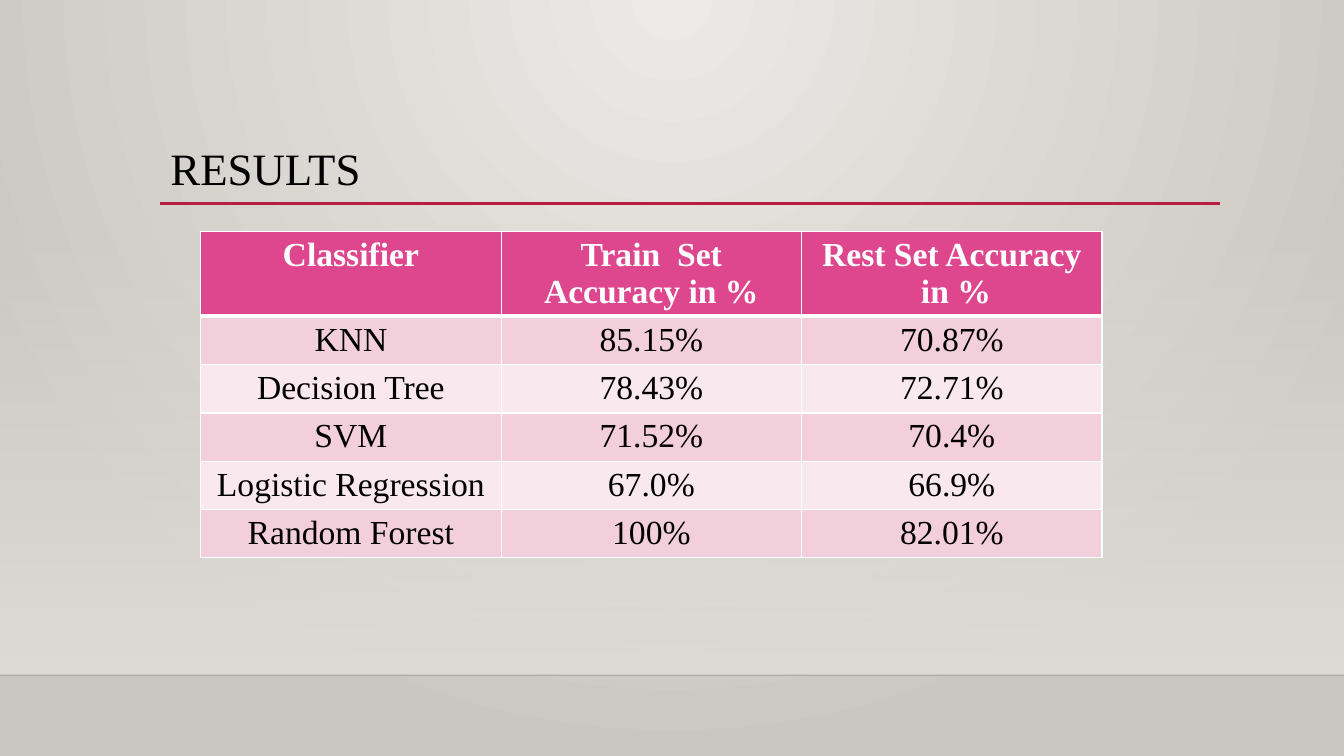
from pptx import Presentation, util as u
from pptx.dml.color import RGBColor
from pptx.enum import shapes, text
from pptx.oxml import parse_xml
from pptx.oxml.ns import nsdecls, qn

Inches = u.Inches
FONT = "Times New Roman"
BLACK = RGBColor(0x00, 0x00, 0x00)
WHITE = RGBColor(0xFF, 0xFF, 0xFF)
HORIZON = RGBColor(0x00, 0x00, 0x01)
RED = RGBColor(0xB7, 0x1E, 0x42)
PINK = RGBColor(0xDE, 0x47, 0x8E)
BANDS = (RGBColor(0xF2, 0xCF, 0xDB), RGBColor(0xF9, 0xE9, 0xEE))
CENTRE_LIGHT = RGBColor(0xEC, 0xEA, 0xE7)
EDGE_GREY = RGBColor(0xCA, 0xC7, 0xC1)
WALL = RGBColor(0xDF, 0xDB, 0xD5)

RADIAL = ('<a:path path="circle">'
          '<a:fillToRect l="43000" t="0" r="43000" b="100000"/></a:path>')
DOWNWARD = '<a:lin ang="5400000" scaled="0"/>'

RESULTS = [
    ("Classifier", "Train  Set Accuracy in %", "Rest Set Accuracy\n in %"),
    ("KNN", "85.15%", "70.87%"),
    ("Decision Tree", "78.43%", "72.71%"),
    ("SVM", "71.52%", "70.4%"),
    ("Logistic Regression", "67.0%", "66.9%"),
    ("Random Forest", "100%", "82.01%"),
]
ROW_HEIGHTS = (0.83, 0.48, 0.48, 0.48, 0.48, 0.47)
COLUMN_WIDTH = 2.98


def set_gradient(fill, owner, stops, direction):
    """Fill with (position %, colour, opacity %) stops."""
    fill.gradient()
    gradient = owner.find(".//" + qn("a:gradFill"))
    stop_xml = "".join(
        f'<a:gs pos="{position * 1000}"><a:srgbClr val="{colour}">'
        f'<a:alpha val="{opacity * 1000}"/></a:srgbClr></a:gs>'
        for position, colour, opacity in stops)
    gradient.getparent().replace(gradient, parse_xml(
        f'<a:gradFill {nsdecls("a")} rotWithShape="1">'
        f'<a:gsLst>{stop_xml}</a:gsLst>{direction}</a:gradFill>'))


def add_rule(slide, left, right, top, colour, width, opacity=100):
    rule = slide.shapes.add_connector(
        shapes.MSO_CONNECTOR.STRAIGHT,
        Inches(left), Inches(top), Inches(right), Inches(top))
    rule.line.color.rgb = colour
    rule.line.width = u.Pt(width)
    rule.element.spPr.append(parse_xml(f'<a:effectLst {nsdecls("a")}/>'))
    if opacity < 100:
        rule.element.find(".//" + qn("a:srgbClr")).append(parse_xml(
            f'<a:alpha {nsdecls("a")} val="{opacity * 1000}"/>'))


def format_paragraph(paragraph, colour, **settings):
    paragraph.font.color.rgb = colour
    for name, value in {"name": FONT, **settings}.items():
        setattr(paragraph.font, name, value)


def add_title(slide, wording):
    title = slide.shapes.title
    place = {"left": 1.59, "top": 1.36, "width": 10.5, "height": 0.67}
    for name, value in place.items():
        setattr(title, name, Inches(value))
    frame = title.text_frame
    frame.text = wording
    frame.vertical_anchor = text.MSO_ANCHOR.MIDDLE
    paragraph = frame.paragraphs[0]
    paragraph.alignment = text.PP_ALIGN.LEFT
    paragraph.line_spacing = 0.9
    format_paragraph(paragraph, BLACK, size=u.Pt(32))


def set_borders(cell, widths):
    properties = cell._tc.get_or_add_tcPr()
    for index, (side, width) in enumerate(widths.items()):
        properties.insert(index, parse_xml(
            f'<a:ln{side} {nsdecls("a")} w="{u.Pt(width)}"><a:solidFill>'
            f'<a:srgbClr val="{WHITE}"/></a:solidFill></a:ln{side}>'))


def fill_cell(cell, wording, row):
    header = row == 0
    cell.text = wording
    for paragraph in cell.text_frame.paragraphs:
        paragraph.alignment = text.PP_ALIGN.CENTER
        format_paragraph(paragraph, WHITE if header else BLACK,
                         size=u.Pt(24), bold=header)
    cell.fill.solid()
    cell.fill.fore_color.rgb = PINK if header else BANDS[(row - 1) % 2]
    # The edge between header and body is thicker
    set_borders(cell, {"L": 1, "R": 1, "T": 3 if row == 1 else 1,
                       "B": 3 if header else 1})


def add_results_table(slide):
    columns = len(RESULTS[0])
    table = slide.shapes.add_table(
        len(RESULTS), columns, Inches(1.99), Inches(2.3),
        Inches(COLUMN_WIDTH * columns), Inches(sum(ROW_HEIGHTS))).table
    for column in table.columns:
        column.width = Inches(COLUMN_WIDTH)
    for row, values in enumerate(RESULTS):
        table.rows[row].height = Inches(ROW_HEIGHTS[row])
        for column, wording in enumerate(values):
            fill_cell(table.cell(row, column), wording, row)


def add_backdrop(slide):
    set_gradient(slide.background.fill, slide.element,
                 [(0, CENTRE_LIGHT, 100), (100, EDGE_GREY, 100)], RADIAL)
    wall = slide.shapes.add_shape(
        shapes.MSO_SHAPE.RECTANGLE, 0, Inches(2.21), Inches(13.33), Inches(4.49))
    wall.shadow.inherit = False
    wall.line.fill.background()
    set_gradient(wall.fill, wall.element,
                 [(0, WALL, 0), (100, WALL, 100)], DOWNWARD)
    add_rule(slide, 0, 13.33, 6.7, HORIZON, 1, opacity=20)


def main():
    presentation = Presentation()
    presentation.slide_width = Inches(13.33)
    presentation.slide_height = Inches(7.5)
    slide = presentation.slides.add_slide(presentation.slide_layouts[5])

    # Wall and floor
    add_backdrop(slide)

    # Heading with its underline
    add_rule(slide, 1.59, 12.1, 2.02, RED, 2.5)
    add_title(slide, "RESULTS")

    # Accuracy of each classifier
    add_results_table(slide)

    presentation.save("out.pptx")


if __name__ == "__main__":
    main()
